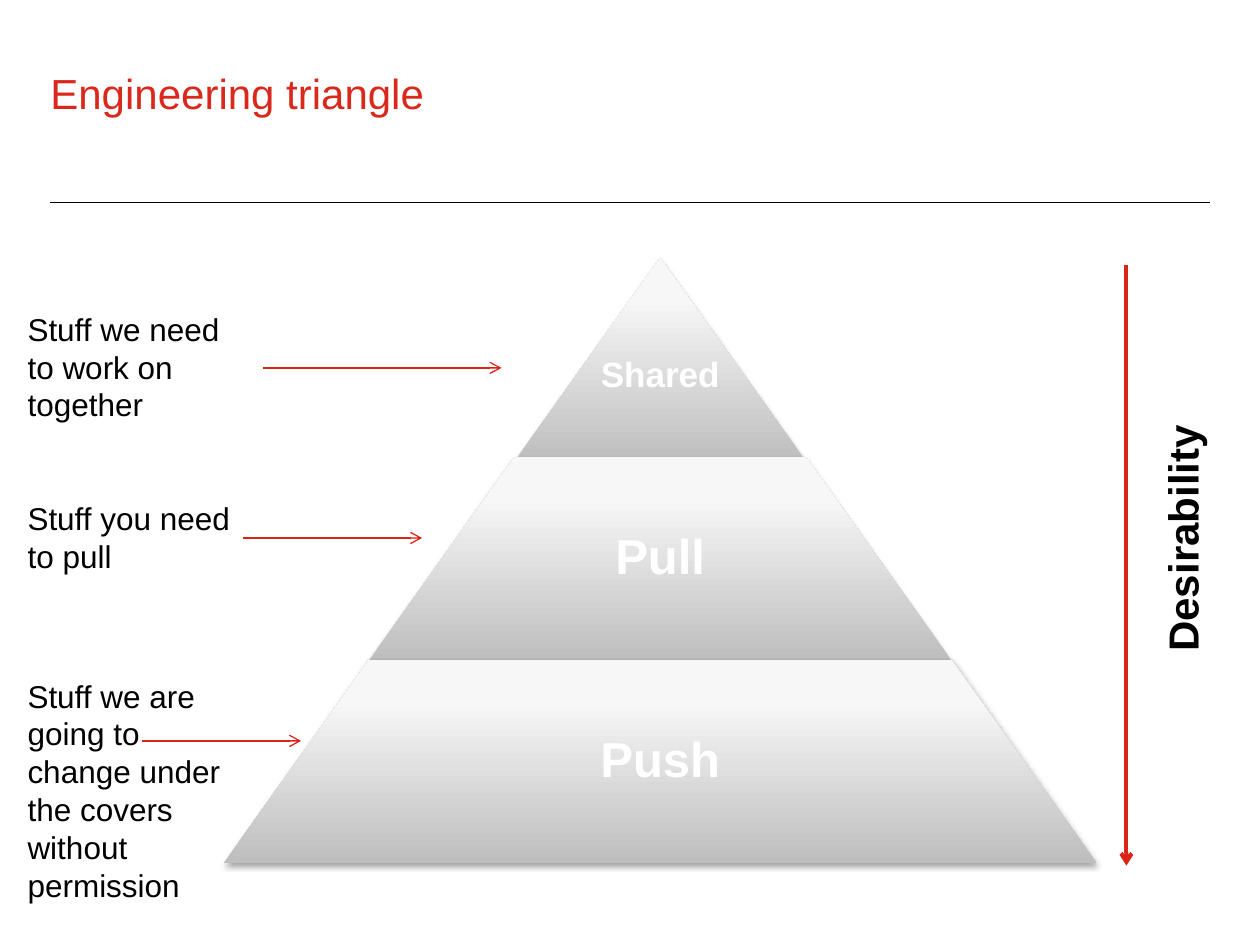
import copy

import lxml.etree
import pptx
import pptx.dml.color
import pptx.enum.shapes
import pptx.enum.text
import pptx.oxml
import pptx.oxml.ns
import pptx.util

Inches = pptx.util.Inches
Pt = pptx.util.Pt
qn = pptx.oxml.ns.qn
DRAWING = 'xmlns:a="http://schemas.openxmlformats.org/drawingml/2006/main"'


def color(hex_value):
    return pptx.dml.color.RGBColor.from_string(hex_value)


def add_line(x1, y1, x2, y2, hex_value, width, arrow=True):
    line = slide.shapes.add_connector(
        pptx.enum.shapes.MSO_CONNECTOR.STRAIGHT, Inches(x1), Inches(y1), Inches(x2), Inches(y2))
    line.line.color.rgb = color(hex_value)
    line.line.width = Pt(width)
    if arrow:
        lxml.etree.SubElement(line.line._get_or_add_ln(), qn("a:tailEnd"), type="arrow")
    lxml.etree.SubElement(line._element.spPr, qn("a:effectLst"))


presentation = pptx.Presentation()
presentation.slide_width = Inches(10)
presentation.slide_height = Inches(7.5)
slide = presentation.slides.add_slide(presentation.slide_layouts[6])

add_line(0.4, 1.61, 9.6, 1.61, "000000", 0.5, arrow=False)

title = slide.shapes.add_textbox(Inches(0.4), Inches(0.6), Inches(7.65), Inches(0.88))
title_frame = title.text_frame
title_frame.word_wrap = True
title_frame.margin_left = title_frame.margin_right = 0
title_frame.margin_top = title_frame.margin_bottom = 0
title_frame.text = "Engineering triangle"
title_frame.paragraphs[0].line_spacing = 0.85
title_font = title_frame.paragraphs[0].runs[0].font
title_font.name = "Arial"
title_font.size = Pt(24)
title_font.color.rgb = color("DA291C")

center = 5.24
level_height = 1.61
levels = [("Shared", 2.05, 20, 0.3), ("Pull", 3.63, 28, 0.04), ("Push", 5.24, 28, 0.04)]
for number, (name, top, size, top_margin) in enumerate(levels, 1):
    width = 2.31 * number
    level = slide.shapes.add_shape(
        pptx.enum.shapes.MSO_SHAPE.TRAPEZOID,
        Inches(center - width / 2), Inches(top), Inches(width), Inches(level_height))
    level.adjustments[0] = 0.716
    level.line.fill.background()
    level.fill.gradient()
    level.fill.gradient_angle = 90
    stops = level.fill._fill._gradFill.gsLst
    stops.insert(1, copy.deepcopy(stops[0]))
    for stop, position, shade in zip(level.fill.gradient_stops, (0, 0.8, 1), ("BEBEBE", "F7F7F7", "F8F8F8")):
        stop.position = position
        stop.color.rgb = color(shade)
    level.shadow.inherit = False
    level._element.spPr.find(qn("a:effectLst")).append(pptx.oxml.parse_xml(
        f'<a:outerShdw {DRAWING} blurRad="{Pt(3.1)}" dist="{Pt(1.8)}" dir="5400000" rotWithShape="0">'
        '<a:srgbClr val="000000"><a:alpha val="35000"/></a:srgbClr></a:outerShdw>'))

    label_width = max(2.31, 0.65 * width)
    label = slide.shapes.add_textbox(
        Inches(center - label_width / 2), Inches(top), Inches(label_width), Inches(level_height))
    label_frame = label.text_frame
    label_frame.word_wrap = True
    label_frame.vertical_anchor = pptx.enum.text.MSO_ANCHOR.MIDDLE
    label_frame.margin_left = label_frame.margin_right = label_frame.margin_bottom = Inches(0.04)
    label_frame.margin_top = Inches(top_margin)
    label_frame.text = name
    label_frame.paragraphs[0].alignment = pptx.enum.text.PP_ALIGN.CENTER
    label_frame.paragraphs[0].line_spacing = 0.9
    label_font = label_frame.paragraphs[0].runs[0].font
    label_font.name = "Arial"
    label_font.size = Pt(size)
    label_font.bold = True
    label_font.color.rgb = color("FFFFFF")

explanations = [
    ("Stuff we are going to change under the covers without permission", 5.32, 1.92),
    ("Stuff you need to pull", 3.91, 0.71),
    ("Stuff we need to work on together", 2.41, 1.01),
]
for wording, top, height in explanations:
    explanation = slide.shapes.add_textbox(Inches(0.12), Inches(top), Inches(1.81), Inches(height))
    explanation.text_frame.word_wrap = True
    explanation.text_frame.text = wording
    explanation_font = explanation.text_frame.paragraphs[0].runs[0].font
    explanation_font.name = "Arial"
    explanation_font.size = Pt(18)
    explanation_font.color.rgb = color("000000")

for start, end, y in [(2.09, 3.98, 2.92), (1.93, 3.35, 4.27), (1.13, 2.39, 5.88)]:
    add_line(start, y, end, y, "DA2417", 0.75)
add_line(8.94, 2.1, 8.94, 6.87, "DA2417", 2.25)

desirability = slide.shapes.add_textbox(Inches(8.37), Inches(4.01), Inches(2.02), Inches(0.5))
desirability.rotation = 270
desirability.text_frame.word_wrap = False
desirability.text_frame.text = "Desirability"
desirability_font = desirability.text_frame.paragraphs[0].runs[0].font
desirability_font.name = "Arial"
desirability_font.size = Pt(24)
desirability_font.bold = True
desirability_font.color.rgb = color("000000")

presentation.save("out.pptx")
